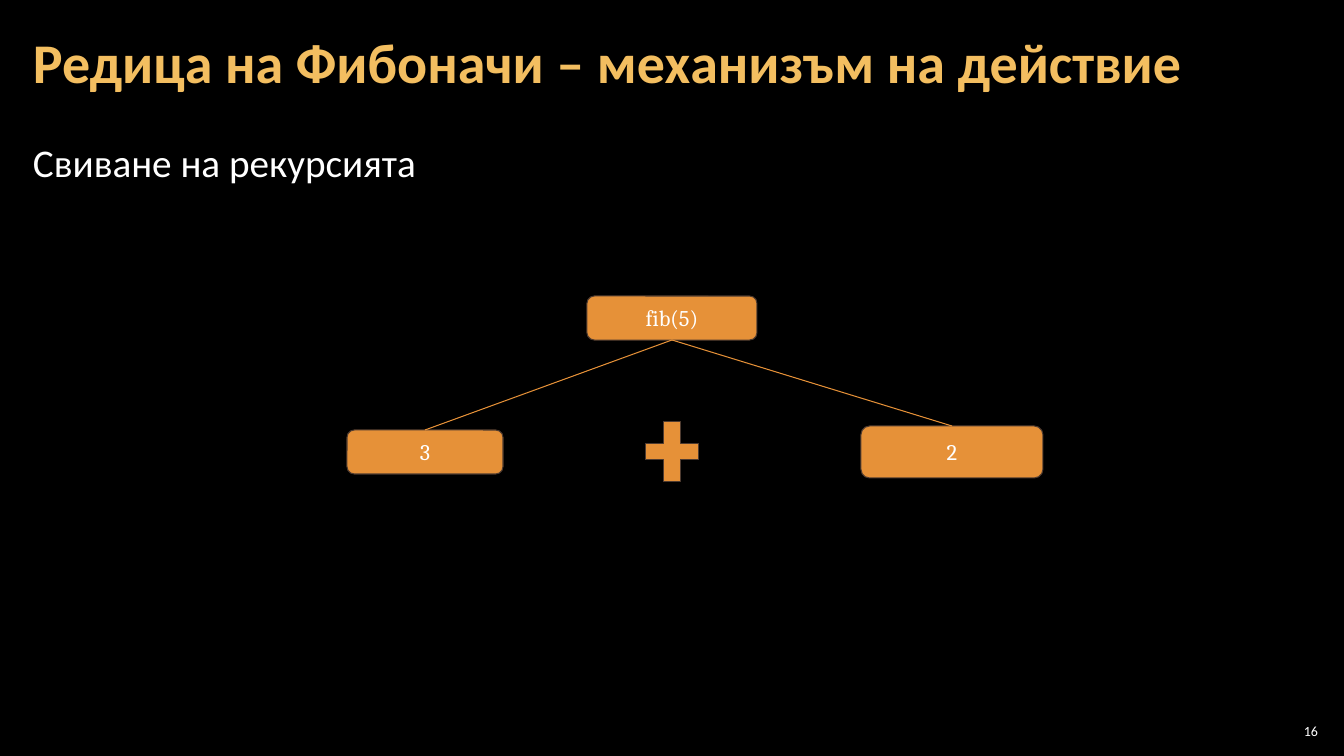
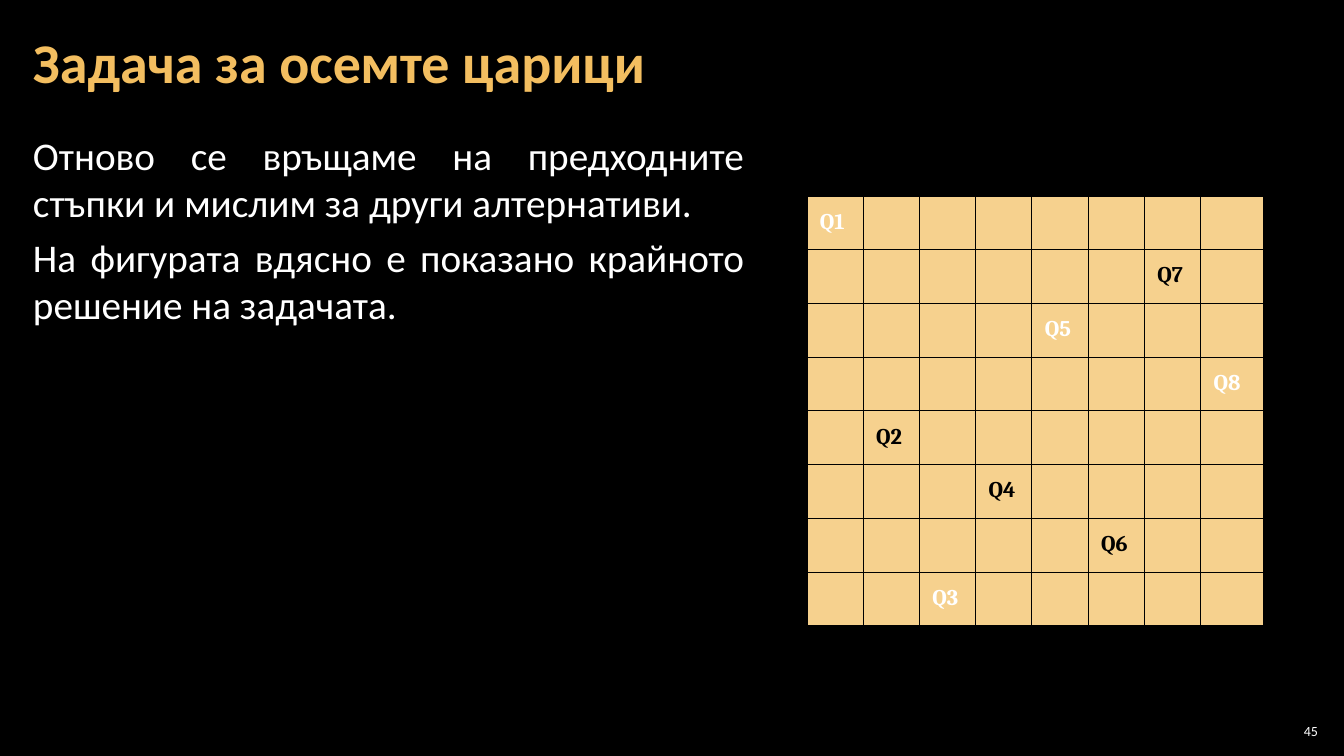
from lxml import etree
from pptx import Presentation
from pptx.dml.color import RGBColor
from pptx.enum.shapes import MSO_CONNECTOR, MSO_SHAPE
from pptx.enum.text import MSO_ANCHOR as Anchor, PP_ALIGN as Align
from pptx.oxml.ns import qn
from pptx.util import Emu, Pt

BLACK = RGBColor(0x00, 0x00, 0x00)
WHITE = RGBColor(0xFF, 0xFF, 0xFF)
GOLD = RGBColor(0xF3, 0xBE, 0x60)
ORANGE = RGBColor(0xE6, 0x91, 0x38)
BROWN = RGBColor(0x4E, 0x3B, 0x30)
SAND = RGBColor(0xF6, 0xD1, 0x8E)
BODY_FONT, NODE_FONT = "Calibri", "Cambria"


def px(length):
    """Slide pixels, 1344 across, to EMU."""
    return Emu(round(length * 12192000 / 1344))


def write(frame, lines, size, color, font=BODY_FONT, bold=False, align=Align.LEFT,
          anchor=Anchor.TOP, margins=(12, 4), spacing=1.0, after=0):
    frame.word_wrap = True
    frame.vertical_anchor = anchor
    frame.margin_left = frame.margin_right = px(margins[0])
    frame.margin_top = frame.margin_bottom = px(margins[1])
    for index, line in enumerate(lines):
        paragraph = frame.add_paragraph() if index else frame.paragraphs[0]
        paragraph.alignment = align
        paragraph.line_spacing = spacing
        paragraph.space_after = Pt(after)
        run = paragraph.add_run()
        run.text = line
        run.font.name, run.font.size, run.font.bold = font, Pt(size), bold
        run.font.color.rgb = color


presentation = Presentation()
presentation.slide_width, presentation.slide_height = px(1344), px(756)
background = presentation.slide_master.background.fill
background.solid()
background.fore_color.rgb = BLACK

# Title, body text and page number of every slide
PAGES = [
    ("Редица на Фибоначи – механизъм на действие", ["Свиване на рекурсията"], 1301, 1.15, "16"),
    ("Задача за осемте царици",
     ["Отново се връщаме на предходните стъпки и мислим за други алтернативи.",
      "На фигурата вдясно е показано крайното решение на задачата."], 735, 1.0, "45"),
]
slides = []
for title, body, body_width, spacing, number in PAGES:
    slide = presentation.slides.add_slide(presentation.slide_layouts[6])
    slides.append(slide)
    title_box = slide.shapes.add_textbox(px(21), px(4), px(1301), px(122))
    write(title_box.text_frame, [title], 40, GOLD, bold=True, anchor=Anchor.MIDDLE, spacing=0.9)
    body_box = slide.shapes.add_textbox(px(21), px(127), px(body_width), px(614))
    write(body_box.text_frame, body, 28, WHITE, align=Align.JUSTIFY, spacing=spacing, after=6)
    number_box = slide.shapes.add_textbox(px(1275), px(720), px(47), px(21))
    write(number_box.text_frame, [number], 10, WHITE, align=Align.RIGHT,
          anchor=Anchor.MIDDLE, margins=(4, 4))
tree_slide, queens_slide = slides

# Recursion tree: the call, its two results and the plus sign
NODES = [
    (MSO_SHAPE.ROUNDED_RECTANGLE, "fib(5)", 587, 296, 170, 44),
    (MSO_SHAPE.ROUNDED_RECTANGLE, "3", 347, 430, 156, 44),
    (MSO_SHAPE.ROUNDED_RECTANGLE, "2", 861, 426, 182, 52),
    (MSO_SHAPE.MATH_PLUS, "", 636, 411, 72, 81),
]
nodes = []
for kind, label, left, top, width, height in NODES:
    node = tree_slide.shapes.add_shape(kind, px(left), px(top), px(width), px(height))
    node.shadow.inherit = False
    node.fill.solid()
    node.fill.fore_color.rgb = ORANGE
    node.line.color.rgb = BROWN
    node.line.width = Pt(0.75)
    if label:
        write(node.text_frame, [label], 16, WHITE, NODE_FONT, align=Align.CENTER,
              anchor=Anchor.MIDDLE, margins=(13, 13))
    nodes.append(node)

# Branches from the bottom of the call to the top of each result
call, *results = nodes[:3]
for result in results:
    branch = tree_slide.shapes.add_connector(MSO_CONNECTOR.STRAIGHT, 0, 0, 0, 0)
    branch.begin_connect(call, 2)
    branch.end_connect(result, 0)
    branch.line.color.rgb = ORANGE
    branch.line.width = Pt(0.75)
    etree.SubElement(branch._element.spPr, qn("a:effectLst"))

# Chessboard: (row, column) of each queen
QUEENS = {
    (0, 0): ("Q1", WHITE), (1, 6): ("Q7", BLACK), (2, 4): ("Q5", WHITE), (3, 7): ("Q8", WHITE),
    (4, 1): ("Q2", BLACK), (5, 3): ("Q4", BLACK), (6, 5): ("Q6", BLACK), (7, 2): ("Q3", WHITE),
}
SIZE = 8
board = queens_slide.shapes.add_table(SIZE, SIZE, px(807), px(196), px(457), px(430)).table
for index in range(SIZE):
    board.rows[index].height = Emu(px(430) // SIZE)
    board.columns[index].width = Emu(px(450) // SIZE)
board.columns[SIZE - 1].width = px(63)

for row in range(SIZE):
    for column in range(SIZE):
        cell = board.cell(row, column)
        properties = cell._tc.get_or_add_tcPr()
        for side in ("a:lnL", "a:lnR", "a:lnT", "a:lnB"):
            border = etree.SubElement(properties, qn(side), w=str(Pt(0.75)))
            border_fill = etree.SubElement(border, qn("a:solidFill"))
            etree.SubElement(border_fill, qn("a:srgbClr"), val=str(BLACK))
        cell.fill.solid()
        cell.fill.fore_color.rgb = SAND
        if (row, column) in QUEENS:
            queen, color = QUEENS[row, column]
            write(cell.text_frame, [queen], 16, color, NODE_FONT, bold=True)
            cell.margin_left = cell.margin_right = px(13)
            cell.margin_top = cell.margin_bottom = px(13)

presentation.save("out.pptx")
